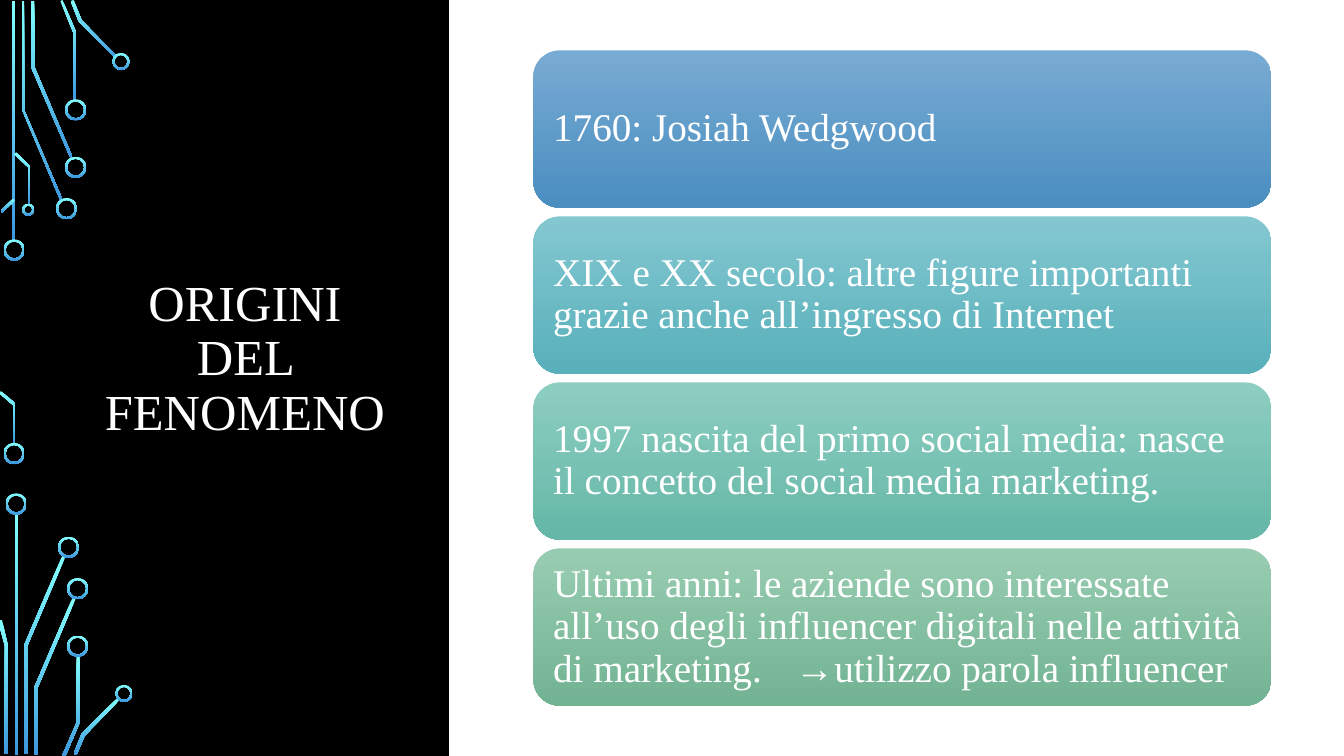
from dataclasses import dataclass

import pptx
import pptx.dml.color
import pptx.dml.fill
import pptx.enum.shapes
import pptx.enum.text
import pptx.shapes.autoshape
import pptx.slide
import pptx.text.text
import pptx.util
from lxml import etree
from pptx.oxml.ns import qn

Inches = pptx.util.Inches
RGBColor = pptx.dml.color.RGBColor
Shape = pptx.shapes.autoshape.Shape
Slide = pptx.slide.Slide
PRESET = pptx.enum.shapes.MSO_SHAPE
ALIGN = pptx.enum.text.PP_ALIGN

BLACK = RGBColor(0x00, 0x00, 0x00)
WHITE = RGBColor(0xFF, 0xFF, 0xFF)
CYAN = RGBColor(0x82, 0xFF, 0xFF)
BLUE = RGBColor(0x3D, 0x97, 0xDE)
FONT = "Times New Roman"

SLIDE_WIDTH, SLIDE_HEIGHT = 13.33, 7.5
CARD_LEFT, CARD_TOP = 5.29, 0.5
CARD_WIDTH, CARD_HEIGHT = 7.32, 1.56
CARD_STEP = 1.647
CARD_INSET = 0.12
RING_LINE = 0.02


@dataclass(frozen=True)
class Ring:
    center_x: float
    center_y: float
    diameter: float = 0.21


@dataclass(frozen=True)
class Trace:
    """A circuit line given by its outline."""
    points: tuple[tuple[float, float], ...]


@dataclass(frozen=True)
class Card:
    text: str
    top_color: RGBColor
    bottom_color: RGBColor
    tab_stop: float | None = None


RINGS = (
    Ring(0.14, 2.48), Ring(0.14, 4.5), Ring(0.66, 2.07), Ring(0.75, 1.66),
    Ring(0.75, 1.09), Ring(1.2, 0.61, 0.17), Ring(0.28, 2.08, 0.12),
    Ring(0.16, 5.0), Ring(0.68, 5.43), Ring(0.77, 5.84), Ring(0.77, 6.41),
    Ring(1.23, 6.88, 0.17),
)

TRACES = (
    # Upper circuit
    Trace(((0.12, 0.01), (0.15, 0.01), (0.15, 2.4), (0.12, 2.4))),
    Trace(((0.6, 1.99), (0.22, 1.09), (0.22, 0.01), (0.24, 0.01), (0.24, 1.09), (0.62, 1.98))),
    Trace(((0.7, 1.57), (0.31, 0.67), (0.31, 0.01), (0.34, 0.01), (0.34, 0.66), (0.72, 1.56))),
    Trace(((0.76, 1), (0.73, 1), (0.73, 0.33), (0.6, 0.01), (0.62, 0), (0.76, 0.33))),
    Trace(((1.15, 0.58), (0.78, 0.21), (0.7, 0.01), (0.73, 0), (0.81, 0.2), (1.16, 0.56))),
    Trace(((0.02, 2.11), (0.01, 2.09), (0.13, 1.97), (0.15, 1.99))),
    Trace(((0.3, 2.03), (0.28, 2.03), (0.28, 1.66), (0.14, 1.53), (0.16, 1.51), (0.3, 1.65))),
    Trace(((0.15, 4.41), (0.13, 4.41), (0.13, 4.02), (-0.01, 3.9), (0.01, 3.88), (0.15, 4))),
    # Lower circuit
    Trace(((0.15, 5.1), (0.18, 5.1), (0.18, 7.49), (0.15, 7.49))),
    Trace(((0.27, 7.48), (0.24, 7.48), (0.24, 6.4), (0.62, 5.51), (0.65, 5.52), (0.27, 6.41))),
    Trace(((0.08, 7.48), (0.05, 7.48), (0.05, 6.41), (-0.02, 6.16), (0.02, 6.15), (0.08, 6.41))),
    Trace(((0.37, 7.49), (0.34, 7.49), (0.34, 6.82), (0.72, 5.93), (0.75, 5.94), (0.37, 6.83))),
    Trace(((0.65, 7.5), (0.62, 7.49), (0.76, 7.17), (0.76, 6.5), (0.79, 6.5), (0.79, 7.17))),
    Trace(((0.76, 7.49), (0.73, 7.48), (0.81, 7.28), (1.17, 6.92), (1.19, 6.94), (0.84, 7.3))),
)

CARDS = (
    Card("1760: Josiah Wedgwood",
         RGBColor(0x78, 0xAB, 0xD3), RGBColor(0x4A, 0x8E, 0xC0)),
    Card("XIX e XX secolo: altre figure importanti grazie anche all’ingresso di Internet",
         RGBColor(0x83, 0xC7, 0xD0), RGBColor(0x58, 0xB0, 0xBB)),
    Card("1997 nascita del primo social media: nasce il concetto del social media marketing.",
         RGBColor(0x8D, 0xCE, 0xC1), RGBColor(0x65, 0xB7, 0xA7)),
    Card("Ultimi anni: le aziende sono interessate all’uso degli influencer digitali "
         "nelle attività di marketing.\t→utilizzo parola influencer",
         RGBColor(0x98, 0xCC, 0xB1), RGBColor(0x72, 0xB3, 0x93), tab_stop=2.4),
)


def paint(shape: Shape, top_color: RGBColor, bottom_color: RGBColor) -> None:
    """Fill with a vertical gradient, without outline or shadow."""
    shape.shadow.inherit = False
    shape.line.fill.background()
    shape.fill.gradient()
    shape.fill.gradient_angle = 270
    for stop, color in zip(shape.fill.gradient_stops, (top_color, bottom_color)):
        stop.color.rgb = color


def write(shape: Shape, text: str, size: int, align: ALIGN,
          tab_stop: float | None = None) -> None:
    frame = shape.text_frame
    frame.word_wrap = True
    frame.vertical_anchor = pptx.enum.text.MSO_ANCHOR.MIDDLE
    para = frame.paragraphs[0]
    para.alignment = align
    para.line_spacing = 0.9
    if tab_stop is not None:
        tabs = etree.SubElement(para._p.get_or_add_pPr(), qn("a:tabLst"))
        etree.SubElement(tabs, qn("a:tab"), pos=str(Inches(tab_stop)), algn="l")
    span = para.add_run()
    span.text = text
    span.font.name = FONT
    span.font.size = pptx.util.Pt(size)
    span.font.color.rgb = WHITE


def draw_ring(page: Slide, ring: Ring) -> None:
    radius = ring.diameter / 2
    shape = page.shapes.add_shape(
        PRESET.DONUT, Inches(ring.center_x - radius), Inches(ring.center_y - radius),
        Inches(ring.diameter), Inches(ring.diameter))
    shape.adjustments[0] = RING_LINE / ring.diameter
    paint(shape, CYAN, BLUE)


def draw_trace(page: Slide, trace: Trace) -> None:
    start, *others = [(Inches(x), Inches(y)) for x, y in trace.points]
    builder = page.shapes.build_freeform(*start)
    builder.add_line_segments(others, close=True)
    paint(builder.convert_to_shape(), CYAN, BLUE)


def draw_panel(page: Slide) -> None:
    left = 4.46
    panel = page.shapes.add_shape(
        PRESET.RECTANGLE, Inches(left), 0, Inches(SLIDE_WIDTH - left), Inches(SLIDE_HEIGHT))
    panel.shadow.inherit = False
    panel.fill.solid()
    panel.fill.fore_color.rgb = WHITE
    panel.line.color.rgb = WHITE
    panel.line.width = pptx.util.Pt(1.25)


def draw_card(page: Slide, card: Card, top: float) -> None:
    shape = page.shapes.add_shape(
        PRESET.ROUNDED_RECTANGLE, Inches(CARD_LEFT), Inches(top),
        Inches(CARD_WIDTH), Inches(CARD_HEIGHT))
    paint(shape, card.top_color, card.bottom_color)
    frame = shape.text_frame
    frame.margin_left = frame.margin_right = Inches(CARD_INSET)
    frame.margin_top = frame.margin_bottom = Inches(CARD_INSET)
    write(shape, card.text, 28, ALIGN.LEFT, card.tab_stop)


def main() -> None:
    deck = pptx.Presentation()
    deck.slide_width = Inches(SLIDE_WIDTH)
    deck.slide_height = Inches(SLIDE_HEIGHT)
    page = deck.slides.add_slide(deck.slide_layouts[6])
    page.background.fill.solid()
    page.background.fill.fore_color.rgb = BLACK

    # Circuit decoration
    for trace in TRACES:
        draw_trace(page, trace)
    for ring in RINGS:
        draw_ring(page, ring)

    # White panel and title
    draw_panel(page)
    title = page.shapes.add_textbox(Inches(0.93), Inches(1.24), Inches(3), Inches(4.65))
    write(title, "ORIGINI DEL FENOMENO", 36, ALIGN.CENTER)

    # Timeline cards
    for index, card in enumerate(CARDS):
        draw_card(page, card, CARD_TOP + index * CARD_STEP)

    deck.save("out.pptx")


if __name__ == "__main__":
    main()
